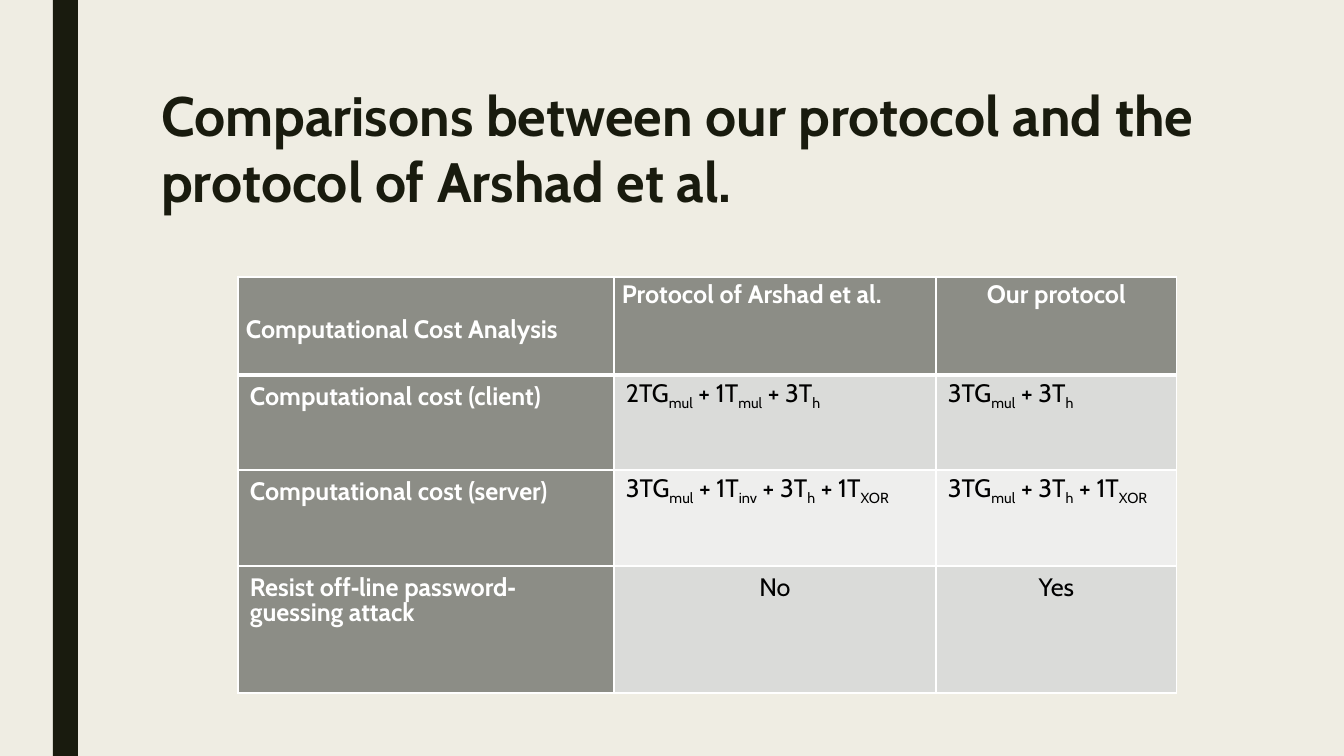
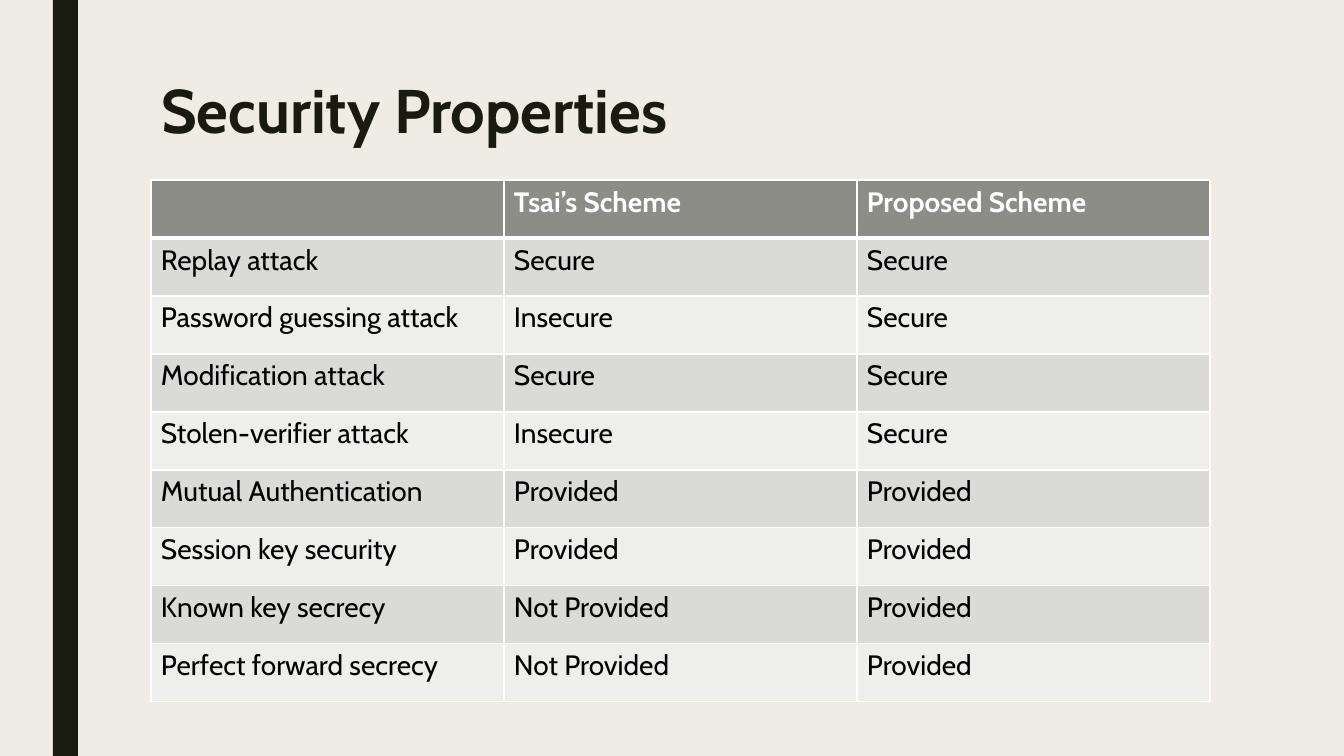
import dataclasses
import typing

import lxml.etree
import pptx
import pptx.dml.color
import pptx.enum.shapes
import pptx.enum.text
import pptx.oxml.ns
import pptx.presentation
import pptx.slide
import pptx.table
import pptx.text.text
import pptx.util

SLIDE_WIDTH, SLIDE_HEIGHT = 1344, 756
EMU_PER_PX = 914400 / 100.8
LEFT = pptx.enum.text.PP_ALIGN.LEFT
CENTER = pptx.enum.text.PP_ALIGN.CENTER


@dataclasses.dataclass(frozen=True)
class Theme:
    font: str = "Cabin"
    paper: str = "EFEDE3"
    ink: str = "191B0E"
    header: str = "8C8D86"
    bands: tuple[str, str] = ("DADBD9", "EEEEED")
    white: str = "FFFFFF"
    black: str = "000000"
    long_title_size: float = 39.6
    title_size: float = 44
    cost_size: float = 18
    property_size: float = 20
    grid_width: float = 1
    header_rule_width: float = 3


@dataclasses.dataclass(frozen=True)
class Cell:
    text: str
    alignment: pptx.enum.text.PP_ALIGN = LEFT
    margins: typing.Optional[tuple[int, int]] = None
    top_margin: typing.Optional[int] = None


@dataclasses.dataclass(frozen=True)
class Grid:
    left: int
    top: int
    columns: list[int]
    rows: list[int]
    cells: list[list[Cell]]
    size: float
    margins: tuple[int, int]
    line_points: typing.Optional[int] = None
    header_column: bool = False


@dataclasses.dataclass(frozen=True)
class Page:
    title: str
    title_size: float
    title_width: int
    title_spacing: float
    grid: Grid


THEME = Theme()
HEADER_MARGINS = (8, 8)

COST_GRID = Grid(
    left=238,
    top=277,
    columns=[376, 322, 241],
    rows=[98, 95, 96, 127],
    cells=[
        [
            Cell("Computational Cost Analysis", margins=HEADER_MARGINS, top_margin=43),
            Cell("Protocol of Arshad et al.", margins=HEADER_MARGINS),
            Cell("Our protocol", CENTER, HEADER_MARGINS),
        ],
        [
            Cell("Computational cost (client)"),
            Cell("2TG|mul| + 1T|mul| + 3T|h"),
            Cell("3TG|mul| + 3T|h"),
        ],
        [
            Cell("Computational cost (server)"),
            Cell("3TG|mul| + 1T|inv| + 3T|h| + 1T|XOR"),
            Cell("3TG|mul| + 3T|h| + 1T|XOR"),
        ],
        [
            Cell("Resist off‐line password‐guessing attack"),
            Cell("No", CENTER),
            Cell("Yes", CENTER),
        ],
    ],
    size=THEME.cost_size,
    margins=(12, 12),
    line_points=18,
    header_column=True,
)

PROPERTIES = [
    ("", "Tsai’s Scheme", "Proposed Scheme"),
    ("Replay attack", "Secure", "Secure"),
    ("Password guessing attack", "Insecure", "Secure"),
    ("Modification attack", "Secure", "Secure"),
    ("Stolen-verifier attack", "Insecure", "Secure"),
    ("Mutual Authentication", "Provided", "Provided"),
    ("Session key security", "Provided", "Provided"),
    ("Known key secrecy", "Not Provided", "Provided"),
    ("Perfect forward secrecy", "Not Provided", "Provided"),
]

PROPERTY_GRID = Grid(
    left=151,
    top=180,
    columns=[353] * 3,
    rows=[58] * len(PROPERTIES),
    cells=[[Cell(text) for text in row] for row in PROPERTIES],
    size=THEME.property_size,
    margins=(10, 5),
)

PAGES = [
    Page(
        "Comparisons between our protocol and the protocol of Arshad et al.",
        THEME.long_title_size, 1112, 1.0, COST_GRID,
    ),
    Page("Security Properties", THEME.title_size, 1058, 0.89, PROPERTY_GRID),
]


def px(length: int) -> pptx.util.Emu:
    return pptx.util.Emu(round(length * EMU_PER_PX))


def rgb(color: str) -> pptx.dml.color.RGBColor:
    return pptx.dml.color.RGBColor.from_string(color)


def style_font(paragraph: pptx.text.text._Paragraph, size: float, color: str, bold: bool) -> None:
    font = paragraph.font
    font.name = THEME.font
    font.size = pptx.util.Pt(size)
    font.bold = bold
    font.color.rgb = rgb(color)


def add_band(slide: pptx.slide.Slide) -> None:
    band = slide.shapes.add_shape(
        pptx.enum.shapes.MSO_SHAPE.RECTANGLE, px(53), 0, px(25), px(SLIDE_HEIGHT)
    )
    band.shadow.inherit = False
    band.fill.solid()
    band.fill.fore_color.rgb = rgb(THEME.ink)
    band.line.fill.background()


def set_title(slide: pptx.slide.Slide, page: Page) -> None:
    title = slide.shapes.title
    title.left, title.top = px(151), px(76)
    title.width, title.height = px(page.title_width), px(163)
    frame = title.text_frame
    frame.text = page.title
    frame.word_wrap = True
    frame.auto_size = pptx.enum.text.MSO_AUTO_SIZE.NONE
    frame.vertical_anchor = pptx.enum.text.MSO_ANCHOR.TOP
    paragraph = frame.paragraphs[0]
    paragraph.alignment = LEFT
    paragraph.line_spacing = page.title_spacing
    style_font(paragraph, page.title_size, THEME.ink, True)


def set_borders(cell: pptx.table._Cell, top_width: float, bottom_width: float) -> None:
    properties = cell._tc.get_or_add_tcPr()
    widths = {"L": THEME.grid_width, "R": THEME.grid_width, "T": top_width, "B": bottom_width}
    for index, (side, width) in enumerate(widths.items()):
        line = lxml.etree.Element(
            pptx.oxml.ns.qn(f"a:ln{side}"), w=str(pptx.util.Pt(width))
        )
        fill = lxml.etree.SubElement(line, pptx.oxml.ns.qn("a:solidFill"))
        lxml.etree.SubElement(fill, pptx.oxml.ns.qn("a:srgbClr"), val=THEME.white)
        properties.insert(index, line)


def write_cell(cell: pptx.table._Cell, content: Cell, grid: Grid, is_header: bool) -> None:
    horizontal, vertical = content.margins or grid.margins
    cell.margin_left = cell.margin_right = px(horizontal)
    cell.margin_top = px(content.top_margin or vertical)
    cell.margin_bottom = px(vertical)
    paragraph = cell.text_frame.paragraphs[0]
    paragraph.alignment = content.alignment
    if grid.line_points:
        paragraph.line_spacing = pptx.util.Pt(grid.line_points)
    style_font(paragraph, grid.size, THEME.white if is_header else THEME.black, is_header)
    if not content.text:
        return
    for index, part in enumerate(content.text.split("|")):
        run = paragraph.add_run()
        run.text = part
        if index % 2:
            run._r.get_or_add_rPr().set("baseline", "-25000")


def add_grid(slide: pptx.slide.Slide, grid: Grid) -> None:
    table = slide.shapes.add_table(
        len(grid.rows), len(grid.columns), px(grid.left), px(grid.top),
        px(sum(grid.columns)), px(sum(grid.rows)),
    ).table
    table.first_col = grid.header_column
    table.horz_banding = False
    for column, width in zip(table.columns, grid.columns):
        column.width = px(width)
    for row_index, (row, height) in enumerate(zip(table.rows, grid.rows)):
        row.height = px(height)
        top_width = THEME.header_rule_width if row_index == 1 else THEME.grid_width
        bottom_width = THEME.header_rule_width if row_index == 0 else THEME.grid_width
        for column_index, content in enumerate(grid.cells[row_index]):
            cell = table.cell(row_index, column_index)
            is_header = row_index == 0 or (grid.header_column and column_index == 0)
            cell.fill.solid()
            cell.fill.fore_color.rgb = rgb(
                THEME.header if is_header else THEME.bands[(row_index - 1) % 2]
            )
            set_borders(cell, top_width, bottom_width)
            write_cell(cell, content, grid, is_header)


def add_page(presentation: pptx.presentation.Presentation, page: Page) -> None:
    slide = presentation.slides.add_slide(presentation.slide_layouts.get_by_name("Title Only"))
    add_band(slide)
    set_title(slide, page)
    add_grid(slide, page.grid)


def main() -> None:
    presentation = pptx.Presentation()
    presentation.slide_width = px(SLIDE_WIDTH)
    presentation.slide_height = px(SLIDE_HEIGHT)
    background = presentation.slide_master.background.fill
    background.solid()
    background.fore_color.rgb = rgb(THEME.paper)
    for page in PAGES:
        add_page(presentation, page)
    presentation.save("out.pptx")


if __name__ == "__main__":
    main()
